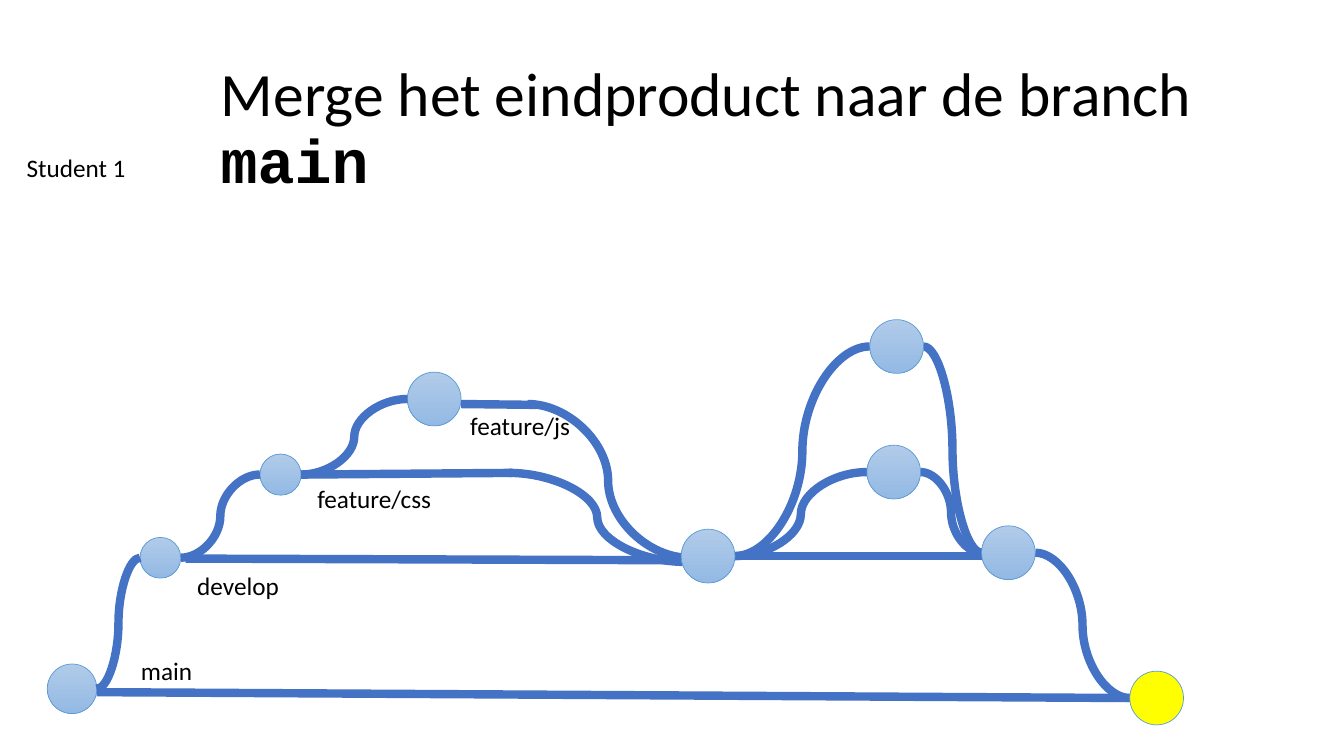
from lxml.etree import SubElement
from pptx import Presentation
from pptx.dml.color import RGBColor
from pptx.enum.shapes import MSO_CONNECTOR as Link, MSO_SHAPE as Shape
from pptx.enum.text import MSO_ANCHOR as Anchor, MSO_AUTO_SIZE as Fit
from pptx.oxml.ns import qn
from pptx.util import Inches, Pt

COLS, ROWS = 160, 90


def paint(code):
    return RGBColor.from_string(code)


class Board:
    font, code = "Calibri", "Courier New"
    ink, track, edge = "000000", "4472C4", "5B9BD5"
    top, base = "B1CBE9", "93B9E4"

    def __init__(self, deck):
        self.slide = deck.slides.add_slide(deck.slide_layouts[6])
        self.col = deck.slide_width / COLS
        self.row = deck.slide_height / ROWS

    def place(self, x, y):
        return round(x * self.col), round(y * self.row)

    def node(self, x, y, size, fill=None):
        half = size / 2
        ball = self.slide.shapes.add_shape(
            Shape.OVAL, *self.place(x - half, y - half), *self.place(size, size))
        ball.shadow.inherit = False
        if fill:
            ball.fill.solid()
            ball.fill.fore_color.rgb = paint(fill)
        else:
            ball.fill.gradient()
            ball.fill.gradient_angle = 270
            for stop, tint in zip(ball.fill.gradient_stops, (self.top, self.base)):
                stop.color.rgb = paint(tint)
        ball.line.color.rgb = paint(self.edge)
        ball.line.width = Pt(0.5)

    def link(self, start, end, kind=Link.CURVE):
        line = self.slide.shapes.add_connector(
            kind, *self.place(*start), *self.place(*end))
        line.line.color.rgb = paint(self.track)
        line.line.width = Pt(6)
        SubElement(line._element.spPr, qn("a:effectLst"))

    def text(self, x, y, wide, high, words, size=18):
        box = self.slide.shapes.add_textbox(
            *self.place(x, y), *self.place(wide, high))
        frame = box.text_frame
        frame.word_wrap = True
        par = frame.paragraphs[0]
        par.add_run().text = words
        par.font.size = Pt(size)
        par.font.name = self.font
        par.font.color.rgb = paint(self.ink)
        return frame

    def label(self, x, y, wide, words):
        self.text(x, y, wide, 4.85, words).auto_size = Fit.SHAPE_TO_FIT_TEXT

    def title(self, x, y, wide, high, words, branch):
        frame = self.text(x, y, wide, high, words, 44)
        frame.vertical_anchor = Anchor.MIDDLE
        par = frame.paragraphs[0]
        par.line_spacing = 0.9
        run = par.add_run()
        run.text = branch
        run.font.name = self.code
        run.font.bold = True


BIG = 6.4
NODES = {
    "main": (8.58, 82, 5.9),
    "dev": (19.1, 66.4, 4.85),
    "css": (33.4, 56.5, 4.9),
    "js": (51.7, 47.5, BIG),
    "join": (84.3, 66.2, BIG),
    "low": (106.4, 56.2, BIG),
    "high": (106.75, 41.25, BIG),
    "last": (120.05, 65.8, BIG),
    "end": (137.7, 83.1, BIG, "FFFF00"),
}
EARLY = ("main", "dev", "css", "js")
CURVES = [
    ("main", "dev"), ("dev", "css"), ("css", "js"),
    ("join", "low"), ("join", "high"),
    ("low", "last"), ("high", "last"), ("last", "end"),
]
LABELS = [
    (15.6, 77.4, 13.3, "main"),
    (22.3, 67.3, 13.3, "develop"),
    (36.6, 56.9, 18, "feature/css"),
    (54.8, 48.2, 18, "feature/js"),
    (2, 17.6, 14.8, "Student 1"),
]


def side(name, sign):
    x, y, size = NODES[name][:3]
    return x + sign * size / 2, y


def main():
    deck = Presentation()
    deck.slide_width, deck.slide_height = Inches(13.33), Inches(7.5)
    board = Board(deck)
    board.title(25.1, 6.8, 119, 17.4,
                "Merge het eindproduct naar de branch ", "main")
    for name in EARLY:
        board.node(*NODES[name])
    for label in LABELS:
        board.label(*label)
    for start, end in [
        ((11.5, 82.4), side("end", -1)),
        ((22.1, 66.5), (81.6, 66.7)),
        (side("css", 1), (61, 56.3)),
        ((54.9, 48.1), (63.8, 48.2)),
        (side("join", 1), (117.7, 66.2)),
    ]:
        board.link(start, end, Link.STRAIGHT)
    for start, end in CURVES:
        board.link(side(start, 1), side(end, -1))
    board.link((60.6, 56.3), (81.6, 66.9))
    board.link((62.8, 48.1), (82, 66.4))
    for name in NODES:
        if name not in EARLY:
            board.node(*NODES[name])
    deck.save("out.pptx")


if __name__ == "__main__":
    main()
